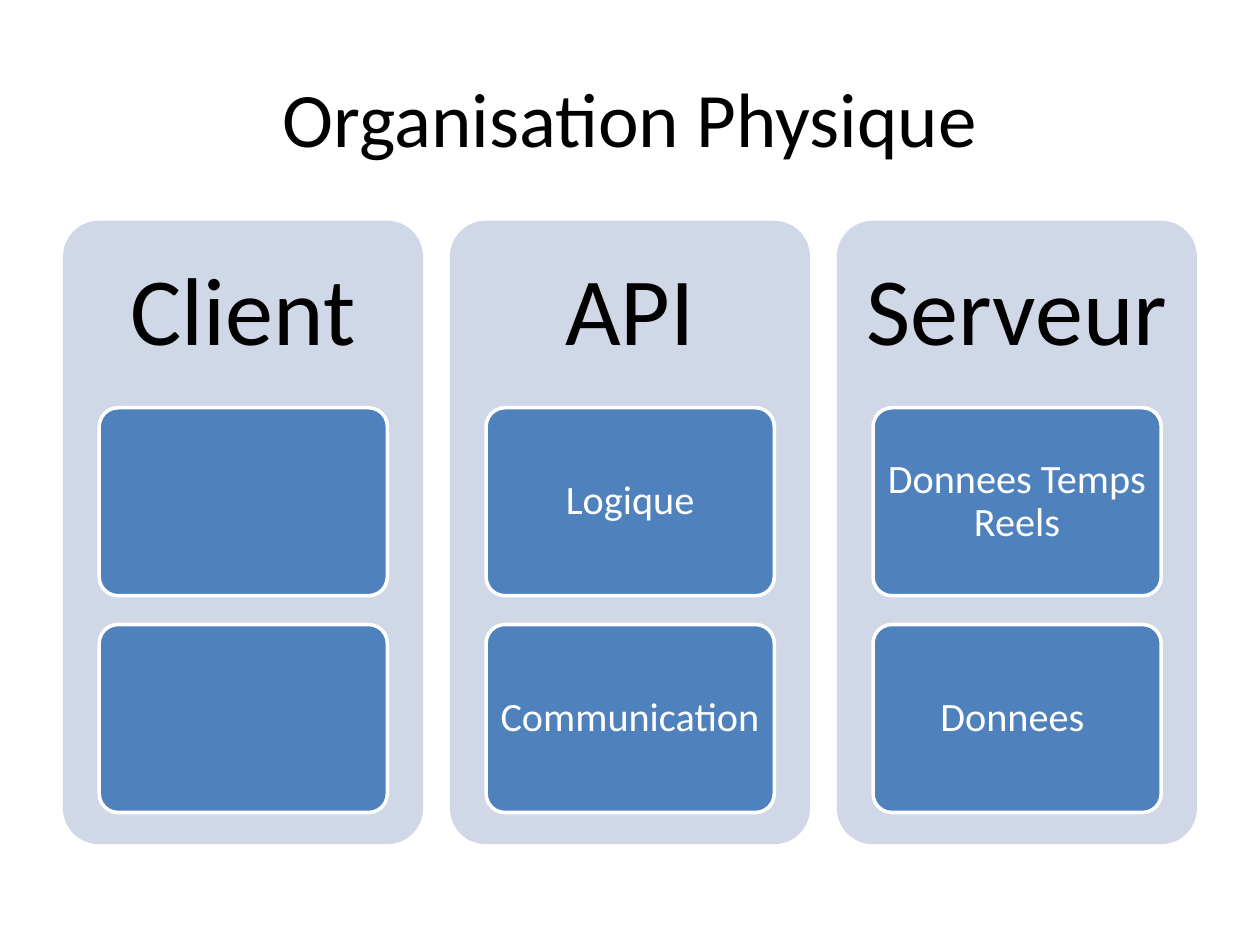
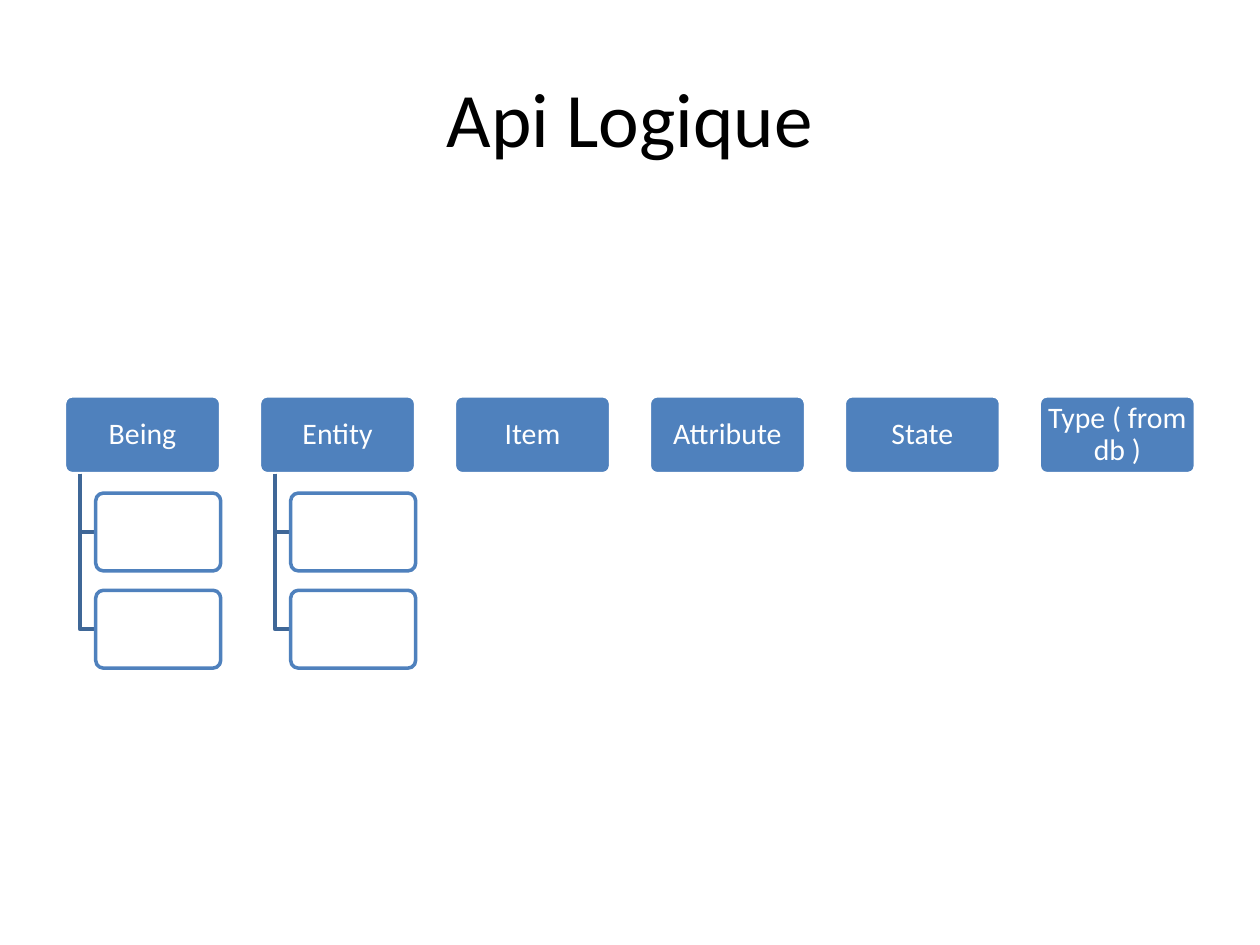
from lxml.etree import SubElement
from pptx import Presentation
from pptx.dml.color import RGBColor
from pptx.enum.shapes import MSO_SHAPE
from pptx.enum.text import MSO_ANCHOR, PP_ALIGN
from pptx.oxml.ns import qn
from pptx.util import Cm, Pt

ROUND = MSO_SHAPE.ROUNDED_RECTANGLE
MIDDLE = MSO_ANCHOR.MIDDLE
CENTER = PP_ALIGN.CENTER

FONT = "Calibri"
BLACK = RGBColor(0x00, 0x00, 0x00)
WHITE = RGBColor(0xFF, 0xFF, 0xFF)
BLUE = RGBColor(0x4F, 0x81, 0xBD)
PALE = RGBColor(0xD0, 0xD8, 0xE8)
STEEL = RGBColor(0x3F, 0x67, 0x97)


class Deck:
    """Holds the shared style and the current slide."""

    def __init__(self):
        self.prs = Presentation()
        self.prs.slide_width = Cm(25.4)
        self.prs.slide_height = Cm(19.05)
        self.slide = None

    def page(self, title):
        self.slide = self.prs.slides.add_slide(self.prs.slide_layouts[5])
        head = self.slide.shapes.title
        head.left, head.top = Cm(1.27), Cm(0.76)
        head.width, head.height = Cm(22.86), Cm(3.18)
        self.style(head, title, 44, BLACK)

    def style(self, shape, text, size, color, inset=None, space=None):
        frame = shape.text_frame
        frame.text = text
        frame.word_wrap = True
        frame.vertical_anchor = MIDDLE
        if inset is not None:
            frame.margin_left = frame.margin_right = Cm(inset)
            frame.margin_top = frame.margin_bottom = Cm(inset)
        para = frame.paragraphs[0]
        para.alignment = CENTER
        para.line_spacing = space
        for run in para.runs:
            run.font.name = FONT
            run.font.size = Pt(size)
            run.font.color.rgb = color

    def label(self, x, y, w, h, text, size):
        box = self.slide.shapes.add_textbox(Cm(x), Cm(y), Cm(w), Cm(h))
        self.style(box, text, size, BLACK, 0.58, 0.9)

    def box(self, x, y, w, h, fill, line=None, alpha=None):
        box = self.slide.shapes.add_shape(ROUND, Cm(x), Cm(y), Cm(w), Cm(h))
        box.adjustments[0] = 0.1
        box.shadow.inherit = False
        box.fill.solid()
        box.fill.fore_color.rgb = fill
        if alpha:
            color = box.element.spPr.find(".//" + qn("a:srgbClr"))
            SubElement(color, qn("a:alpha")).set("val", str(alpha * 1000))
        if line is None:
            box.line.fill.background()
        else:
            box.line.color.rgb = line
            box.line.width = Pt(2)
        return box

    def card(self, x, y, w, h, text, size):
        card = self.box(x, y, w, h, BLUE, WHITE)
        if text:
            self.style(card, text, size, WHITE, 0.05, 0.9)

    def elbow(self, x, y, right, bottom):
        pen = self.slide.shapes.build_freeform(Cm(x), Cm(y))
        pen.add_line_segments(
            [(Cm(x), Cm(bottom)), (Cm(right), Cm(bottom))], close=False)
        elbow = pen.convert_to_shape()
        elbow.shadow.inherit = False
        elbow.fill.background()
        elbow.line.color.rgb = STEEL
        elbow.line.width = Pt(2)


deck = Deck()

# Slide 1: three panels, each with a heading and two cards
PANELS = [
    ("Client", ["", ""]),
    ("API", ["Logique", "Communication"]),
    ("Serveur", ["Donnees Temps Reels", "Donnees "]),
]
deck.page("Organisation Physique")
for col, (name, cards) in enumerate(PANELS):
    x = 1.27 + col * 7.8
    deck.box(x, 4.45, 7.26, 12.57, PALE)
    deck.label(x, 4.45, 7.26, 3.77, name, 55)
    for row, text in enumerate(cards):
        deck.card(x + 0.73, 8.22 + row * 4.37, 5.81, 3.79, text, 23)

# Slide 2: a row of types, some with empty children below
TYPES = [("Being", 2), ("Entity", 2), ("Item", 0), ("Attribute", 0),
         ("State", 0), ("Type ( from db )", 0)]
TOP, TALL, STEP = 7.98, 1.57, 1.96
deck.page("Api Logique")
for col, (name, count) in enumerate(TYPES):
    x = 1.3 + col * 3.93
    deck.card(x, TOP, 3.15, TALL, name, 17)
    for row in range(1, count + 1):
        y = TOP + row * STEP
        deck.elbow(x + 0.31, TOP + TALL, x + 0.63, y + TALL / 2)
        deck.box(x + 0.63, y, 2.52, TALL, WHITE, BLUE, alpha=90)

deck.prs.save("out.pptx")
